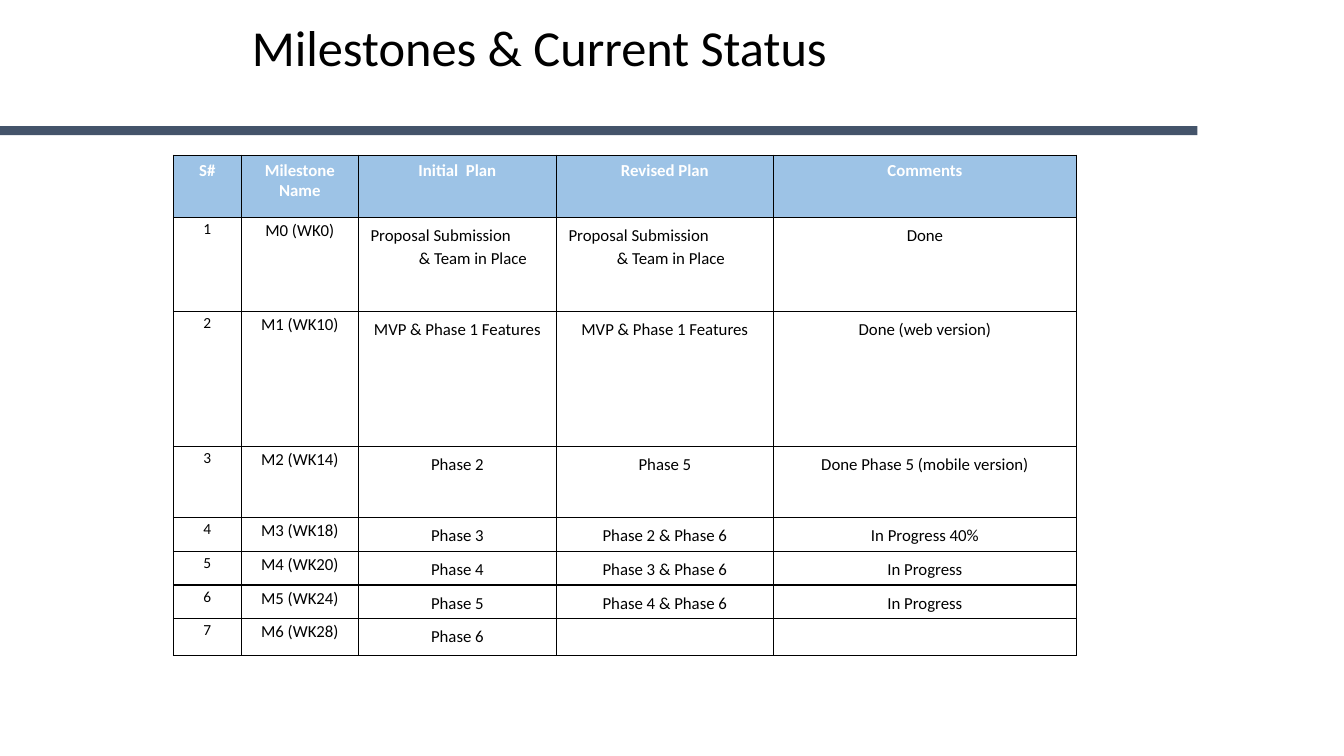
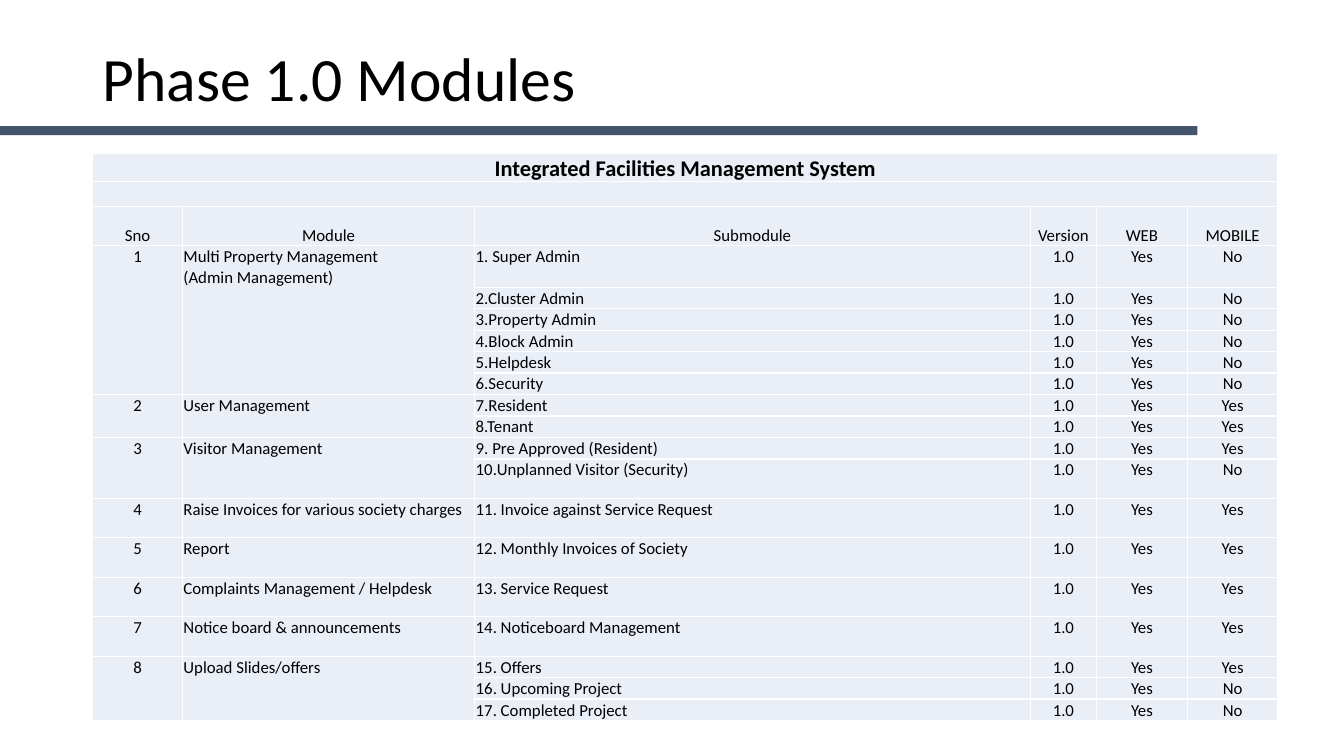
from collections import namedtuple

from lxml.etree import SubElement
from pptx import Presentation
from pptx.dml.color import RGBColor
from pptx.enum.shapes import MSO_SHAPE as Shape
from pptx.enum.text import MSO_ANCHOR as Anchor, PP_ALIGN as Align
from pptx.oxml.ns import qn
from pptx.util import Inches, Pt

FONT = "Calibri"
BLACK = RGBColor(0x00, 0x00, 0x00)
WHITE = RGBColor(0xFF, 0xFF, 0xFF)
SLATE = RGBColor(0x44, 0x54, 0x6A)
SKY = RGBColor(0x9D, 0xC3, 0xE6)
MIST = RGBColor(0xEA, 0xEF, 0xF7)

WIDTH, HEIGHT = Inches(13.33), Inches(7.5)
Box = namedtuple("Box", "left top width height")

MILESTONE_COLUMNS = [68, 117, 198, 217, 303]
MILESTONE_ROWS = [62, 94, 135, 71, 34, 34, 33, 37]
PROPOSAL = "Proposal Submission\v& Team in Place"
MILESTONE_HEADS = ["S#", "Milestone Name", "Initial  Plan", "Revised Plan", "Comments"]
MILESTONES = [
    ("M0 (WK0)", PROPOSAL, PROPOSAL, "Done"),
    ("M1 (WK10)", "MVP & Phase 1 Features", "MVP & Phase 1 Features", "Done (web version)"),
    ("M2 (WK14)", "Phase 2", "Phase 5", "Done Phase 5 (mobile version)"),
    ("M3 (WK18)", "Phase 3", "Phase 2 & Phase 6", "In Progress 40%"),
    ("M4 (WK20)", "Phase 4", "Phase 3 & Phase 6", "In Progress"),
    ("M5 (WK24)", "Phase 5", "Phase 4 & Phase 6", "In Progress"),
    ("M6 (WK28)", "Phase 6", "", ""),
]

MODULE_COLUMNS = [0.89, 2.9, 5.51, 0.66, 0.9, 0.9]
MODULE_ROWS = [27, 25, 39, 41.5] + [21.5] * 8 + [39.5] * 5 + [21.5] * 3
MODULE_HEADS = ["Sno", "Module", "Submodule", "Version", "WEB", "MOBILE"]
MODULES = [
    ("Multi Property Management\v(Admin Management)", [
        ("1. Super Admin", "No"), ("2.Cluster Admin", "No"), ("3.Property Admin", "No"),
        ("4.Block Admin", "No"), ("5.Helpdesk", "No"), ("6.Security", "No")]),
    ("User Management", [("7.Resident", "Yes"), ("8.Tenant", "Yes")]),
    ("Visitor Management", [
        ("9. Pre Approved (Resident)", "Yes"), ("10.Unplanned Visitor (Security)", "No")]),
    ("Raise Invoices for various society charges", [
        ("11. Invoice against Service Request", "Yes")]),
    ("Report", [("12. Monthly Invoices of Society", "Yes")]),
    ("Complaints Management / Helpdesk", [("13. Service Request", "Yes")]),
    ("Notice board & announcements", [("14. Noticeboard Management", "Yes")]),
    ("Upload Slides/offers", [
        ("15. Offers", "Yes"), ("16. Upcoming Project", "No"), ("17. Completed Project", "No")]),
]


def percent_box(left, top, width, height):
    return Box(int(WIDTH * left / 100), int(HEIGHT * top / 100),
               int(WIDTH * width / 100), int(HEIGHT * height / 100))


def write(frame, text, size=12, color=BLACK, bold=False, align=Align.LEFT,
          spacing=None, after=None, hanging=None):
    para = frame.paragraphs[0]
    para.text = text
    para.alignment = align
    para.line_spacing = spacing
    para.space_after = after
    if hanging:
        margin, indent = hanging
        props = para._p.get_or_add_pPr()
        props.set("marL", str(margin))
        props.set("indent", str(indent))
    for span in para.runs:
        span.font.name = FONT
        span.font.size = Pt(size)
        span.font.bold = bold
        span.font.color.rgb = color
    for line_break in para._p.findall(qn("a:br")):
        SubElement(line_break, qn("a:rPr"), sz=str(size * 100))
    if not text:
        SubElement(para._p, qn("a:endParaRPr"), sz=str(size * 100))


def style_cell(cell, line, fill=None, side=0.1, top=0.05, bottom=0.05, anchor=Anchor.TOP):
    cell.margin_left = cell.margin_right = Inches(side)
    cell.margin_top, cell.margin_bottom = Inches(top), Inches(bottom)
    cell.vertical_anchor = anchor
    props = cell._tc.get_or_add_tcPr()
    for edge in ("lnL", "lnR", "lnT", "lnB"):
        border = SubElement(props, qn(f"a:{edge}"), w=str(Pt(1)))
        paint = SubElement(border, qn("a:solidFill"))
        SubElement(paint, qn("a:srgbClr"), val=str(line))
    if fill is None:
        cell.fill.background()
    else:
        cell.fill.solid()
        cell.fill.fore_color.rgb = fill


def add_grid(page, box, columns, rows):
    table = page.shapes.add_table(len(rows), len(columns), *box).table
    table.first_row = table.horz_banding = False
    for column, weight in zip(table.columns, columns):
        column.width = int(box.width * weight / sum(columns))
    for row, weight in zip(table.rows, rows):
        row.height = int(box.height * weight / sum(rows))
    return table


def add_page(deck, title, box, size, anchor):
    page = deck.slides.add_slide(deck.slide_layouts[6])
    band = page.shapes.add_shape(Shape.RECTANGLE, *percent_box(0, 16.67, 89.1, 1.2))
    band.shadow.inherit = False
    band.fill.solid()
    band.fill.fore_color.rgb = SLATE
    band.line.fill.background()
    frame = page.shapes.add_textbox(*box).text_frame
    frame.word_wrap = True
    frame.vertical_anchor = anchor
    write(frame, title, size=size, spacing=0.9)
    return page


def add_milestones(page, box):
    table = add_grid(page, box, MILESTONE_COLUMNS, MILESTONE_ROWS)
    for column, head in enumerate(MILESTONE_HEADS):
        cell = table.cell(0, column)
        style_cell(cell, BLACK, SKY)
        write(cell.text_frame, head, color=WHITE, bold=True, align=Align.CENTER)
    for number, milestone in enumerate(MILESTONES, 1):
        for column, text in enumerate((str(number), *milestone)):
            cell = table.cell(number, column)
            inset = {"side": 0.07, "top": 0, "bottom": 0} if column < 2 else {}
            style_cell(cell, BLACK, **inset)
            staggered = "\v" in text
            write(cell.text_frame, text, size=12 if column else 11,
                  align=Align.LEFT if staggered else Align.CENTER,
                  spacing=1.15, after=Pt(10),
                  hanging=(Inches(0.5), Inches(-0.48)) if staggered else None)


def add_modules(page, box):
    table = add_grid(page, box, MODULE_COLUMNS, MODULE_ROWS)
    last = len(MODULE_COLUMNS) - 1

    def fill_cell(row, column, text, anchor=Anchor.TOP, **form):
        cell = table.cell(row, column)
        style_cell(cell, WHITE, MIST, side=0.01, top=0.01, bottom=0, anchor=anchor)
        write(cell.text_frame, text, **form)

    banner = "Integrated Facilities Management System"
    for column, head in enumerate(MODULE_HEADS):
        fill_cell(0, column, "" if column else banner, anchor=Anchor.BOTTOM,
                  size=16, bold=True, align=Align.CENTER)
        fill_cell(1, column, "")
        fill_cell(2, column, head, anchor=Anchor.BOTTOM, align=Align.CENTER)
    for row in (0, 1):
        table.cell(row, 0).merge(table.cell(row, last))

    row = 3
    for number, (module, parts) in enumerate(MODULES, 1):
        first = row
        for submodule, mobile in parts:
            lead = (str(number), module) if row == first else ("", "")
            for column, text in enumerate((*lead, submodule, "1.0", "Yes", mobile)):
                low = number == len(MODULES) and column in (2, 4, 5)
                fill_cell(row, column, text,
                          anchor=Anchor.BOTTOM if low else Anchor.TOP,
                          align=Align.LEFT if column in (1, 2) else Align.CENTER)
            row += 1
        if len(parts) > 1:
            for column in (0, 1):
                table.cell(first, column).merge(table.cell(row - 1, column))


def main():
    deck = Presentation()
    deck.slide_width, deck.slide_height = WIDTH, HEIGHT
    page = add_page(deck, "Milestones & Current Status",
                    percent_box(18, 2.4, 64.67, 10.13), 36, Anchor.TOP)
    add_milestones(page, percent_box(12.9, 20.53, 67.2, 66.14))
    page = add_page(deck, "Phase 1.0 Modules",
                    percent_box(6.9, 5.33, 86.27, 10.8), 44, Anchor.MIDDLE)
    add_modules(page, percent_box(6.9, 20.35, 88.2, 74.9))
    deck.save("out.pptx")


if __name__ == "__main__":
    main()
